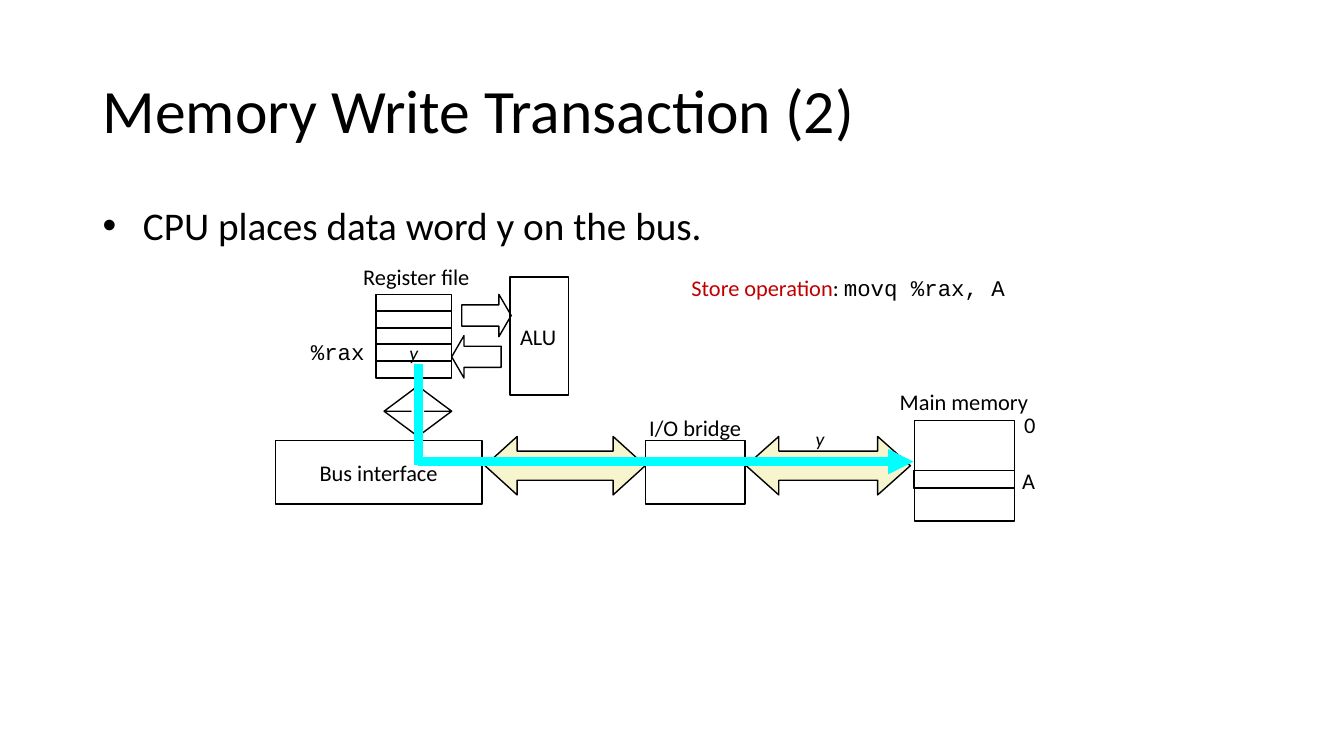
from lxml import etree
from pptx import Presentation
from pptx import util as u
from pptx.dml.color import RGBColor
from pptx.enum import shapes, text
from pptx.oxml.ns import qn

PX = 9144  # 100 px to the inch
BLACK = RGBColor(0x00, 0x00, 0x00)
WHITE = RGBColor(0xFF, 0xFF, 0xFF)
RED = RGBColor(0xC0, 0x00, 0x00)
CREAM = RGBColor(0xF7, 0xF5, 0xCD)
CYAN = RGBColor(0x00, 0xFF, 0xFF)
SANS, MONO = "Calibri", "Courier New"
KIND, ALIGN, ANCHOR = shapes.MSO_SHAPE, text.PP_ALIGN, text.MSO_ANCHOR

# Content: boxes are (left, top, width, height) in px
TITLE = "Memory Write Transaction (2)"
BULLET = "CPU places data word y on the bus."
REGISTERS = ["", "", "", "y", ""]
REGISTER_BOX, REGISTER_PITCH = (373, 292, 75, 17), 16.5
MEMORY = (907, 417, 99, 100)
MEMORY_WORD = (906, 467, 100, 17)
IO_BRIDGE = (640, 437, 99, 63)
BUS_INTERFACE = (273, 437, 205, 63)
ALU = (506, 275, 58, 117)
ARROWS = [  # kind, box, head length to height, fill
    (KIND.LEFT_RIGHT_ARROW, (740, 433, 163, 58), 0.56, CREAM),
    (KIND.LEFT_RIGHT_ARROW, (481, 433, 159, 58), 0.55, CREAM),
    (KIND.RIGHT_ARROW, (458, 292, 49, 42), 0.29, None),
    (KIND.LEFT_ARROW, (448, 333, 49, 42), 0.29, None),
    (KIND.UP_DOWN_ARROW, (381, 383, 67, 50), 0.2, None),
]
LABELS = [  # words, box, font, alignment
    ("Register file", (348, 256, 130, 37), SANS, ALIGN.CENTER),
    ("Main memory", (880, 380, 152, 37), SANS, ALIGN.CENTER),
    ("0", (1006, 403, 32, 37), SANS, ALIGN.LEFT),
    ("A", (1004, 458, 34, 37), SANS, ALIGN.LEFT),
    ("%rax", (298, 330, 74, 37), MONO, ALIGN.CENTER),
    ("I/O bridge", (632, 406, 115, 37), SANS, ALIGN.CENTER),
]
BUS_WORD = ("y", (799, 418, 29, 34))
STORE = [("Store operation", SANS, RED), (": ", SANS, BLACK), ("movq %rax, A", MONO, BLACK)]
DATA_PATH = [((415, 361), (415, 461)), ((415, 458), (906, 458))]

prs = Presentation()
prs.slide_width, prs.slide_height = 1333 * PX, 750 * PX
slide = prs.slides.add_slide(prs.slide_layouts[6])


def emu(lengths):
    return [round(n * PX) for n in lengths]


def add_run(p, words, size=16, font=SANS, color=BLACK, italic=False):
    r = p.add_run()
    r.text = words
    r.font.size, r.font.name, r.font.italic = u.Pt(size), font, italic
    r.font.color.rgb = color


def set_frame(sp, anchor=ANCHOR.MIDDLE, align=ALIGN.LEFT, wrap=False):
    tf = sp.text_frame
    tf.word_wrap, tf.vertical_anchor = wrap, anchor
    p = tf.paragraphs[0]
    p.alignment = align
    return p


def add_text(box, anchor=ANCHOR.MIDDLE, align=ALIGN.LEFT, wrap=False):
    sp = slide.shapes.add_textbox(*emu(box))
    p = set_frame(sp, anchor, align, wrap)
    if not wrap:
        sp.text_frame.auto_size = text.MSO_AUTO_SIZE.SHAPE_TO_FIT_TEXT
    return p


def add_shape(box, kind=KIND.RECTANGLE, fill=None):
    sp = slide.shapes.add_shape(kind, *emu(box))
    sp.shadow.inherit = False
    if fill is None:
        sp.fill.background()
    else:
        sp.fill.solid()
        sp.fill.fore_color.rgb = fill
    sp.line.color.rgb, sp.line.width = BLACK, u.Pt(1)
    return sp


# Title and bullet
p = add_text((92, 40, 1150, 145), wrap=True)
p.line_spacing = 0.9
add_run(p, TITLE, 44)

p = add_text((92, 200, 1150, 476), ANCHOR.TOP, wrap=True)
p.line_spacing, p.space_before = 0.9, u.Pt(10)
pPr = p._p.get_or_add_pPr()
pPr.set("marL", str(40 * PX))
pPr.set("indent", str(-40 * PX))
etree.SubElement(pPr, qn("a:buFont")).set("typeface", "Arial")
etree.SubElement(pPr, qn("a:buChar")).set("char", "•")
add_run(p, BULLET, 28)

# Memory, bridge and arrows
add_shape(MEMORY)
add_shape(IO_BRIDGE)
for kind, box, head, fill in ARROWS:
    arrow = add_shape(box, kind, fill)
    arrow.adjustments[0], arrow.adjustments[1] = 0.5, head

# Register file
left, top, width, height = REGISTER_BOX
for i, word in enumerate(REGISTERS):
    sp = add_shape((left, top + i * REGISTER_PITCH, width, height))
    if word:
        add_run(set_frame(sp, align=ALIGN.CENTER), word, 14, italic=True)

# ALU and bus interface
add_run(set_frame(add_shape(ALU)), "ALU")
add_run(set_frame(add_shape(BUS_INTERFACE, fill=WHITE), align=ALIGN.CENTER), "Bus interface")

# Data path from the register to memory
for start, end in DATA_PATH:
    line = slide.shapes.add_connector(shapes.MSO_CONNECTOR.STRAIGHT, *emu(start + end))
    line.line.color.rgb, line.line.width = CYAN, u.Pt(6)
    etree.SubElement(line._element.spPr, qn("a:effectLst"))
etree.SubElement(line.line._get_or_add_ln(), qn("a:tailEnd")).set("type", "triangle")
add_shape(MEMORY_WORD)

# Labels
for words, box, font, align in LABELS:
    add_run(add_text(box, align=align), words, font=font)
words, box = BUS_WORD
add_run(add_text(box), words, 14, italic=True)
p = add_text((676, 267, 339, 64), ANCHOR.TOP)
for words, font, color in STORE:
    add_run(p, words, font=font, color=color)

prs.save("out.pptx")
